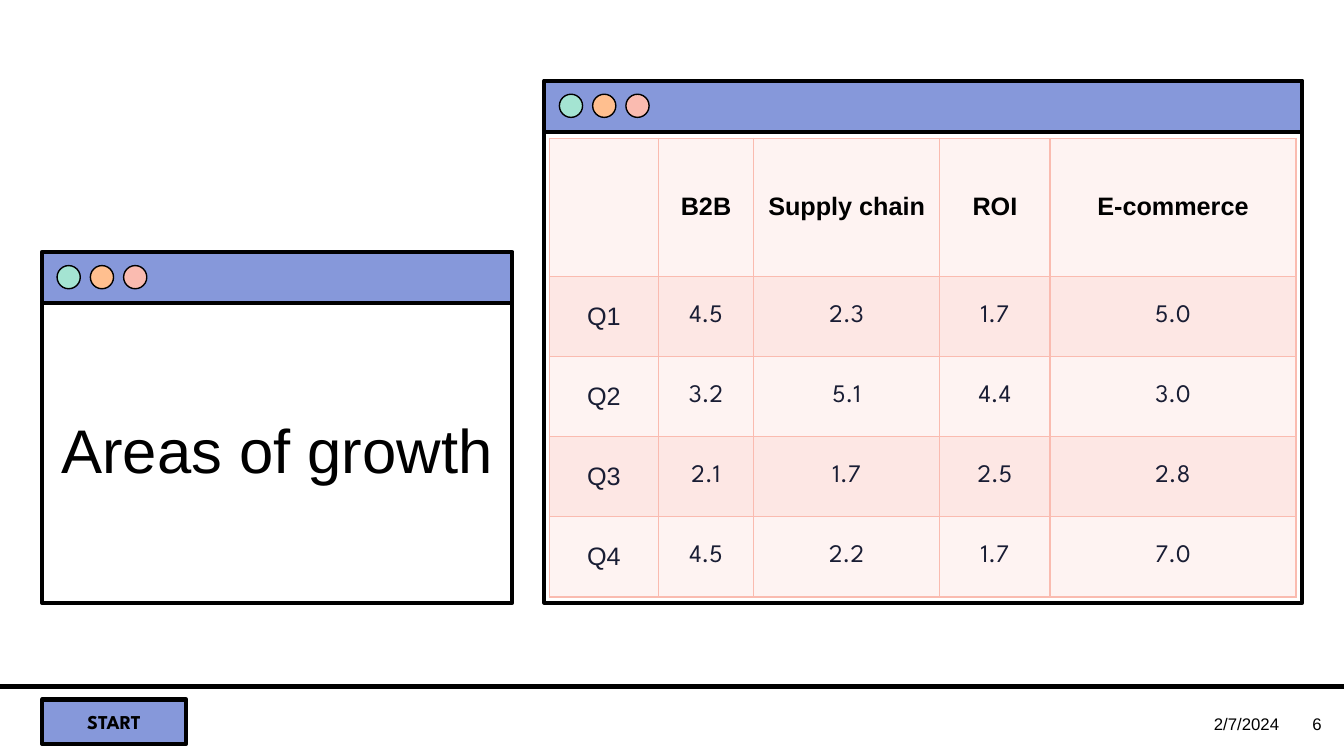
from lxml.etree import SubElement
from pptx import Presentation
from pptx.dml.color import RGBColor
from pptx.enum.shapes import MSO_CONNECTOR as LINE, MSO_SHAPE as SHAPE
from pptx.enum.text import MSO_ANCHOR as ANCHOR, PP_ALIGN as ALIGN
from pptx.oxml import parse_xml
from pptx.oxml.ns import nsdecls, qn
from pptx.util import Inches, Pt

COLORS = {
    "white": "FFFFFF", "black": "000000", "ink": "191D34",
    "bar": "8698DA", "mint": "A4E4D2", "orange": "FFBF8F", "pink": "FABBB0",
    "pale": "FEF3F2", "rose": "FDE7E4",
}
WIDTH, HEIGHT = Inches(13.33), Inches(7.5)
COLS, ROWS = 160, 90
BODY, NUMBERS = "Arial", "League Spartan"
BAR_H = 6.12
GROWTH = [
    ["", "B2B", "Supply chain", "ROI", "E-commerce"],
    ["Q1", "4.5", "2.3", "1.7", "5.0"],
    ["Q2", "3.2", "5.1", "4.4", "3.0"],
    ["Q3", "2.1", "1.7", "2.5", "2.8"],
    ["Q4", "4.5", "2.2", "1.7", "7.0"],
]
COL_WIDTHS = [13, 11.3, 22.2, 13.1, 29.3]
ROW_HEIGHTS = [16.44] + [9.55] * 4


def across(n):
    """Return the length of n grid columns."""
    return int(WIDTH * n / COLS)


def down(n):
    """Return the length of n grid rows."""
    return int(HEIGHT * n / ROWS)


def place(x, y, w, h):
    """Turn a grid box into slide lengths."""
    return across(x), down(y), across(w), down(h)


def color(name):
    """Look up a colour by name."""
    return RGBColor.from_string(COLORS[name])


def add_block(s, box, fill, line=3, kind=SHAPE.RECTANGLE):
    """Add a filled shape with a black outline, or none if line is 0."""
    sp = s.shapes.add_shape(kind, *place(*box))
    sp.shadow.inherit = False
    sp.fill.solid()
    sp.fill.fore_color.rgb = color(fill)
    if line:
        sp.line.color.rgb = color("black")
        sp.line.width = Pt(line)
    else:
        sp.line.fill.background()
    return sp


def write(tf, text, size, font=BODY, ink="black", bold=False, align=ALIGN.CENTER):
    """Put one styled paragraph into a text frame."""
    tf.word_wrap = True
    tf.vertical_anchor = ANCHOR.MIDDLE
    p = tf.paragraphs[0]
    p.text = text
    p.alignment = align
    p.font.size = Pt(size)
    p.font.name = font
    p.font.bold = bold
    p.font.color.rgb = color(ink)
    return p


def add_window(s, box):
    """Draw a window with a title bar and three buttons; return its inner box."""
    x, y, w, h = box
    inner = (x, y + BAR_H, w, h - BAR_H)
    add_block(s, inner, "white")
    add_block(s, (x, y, w, BAR_H), "bar")
    for i, name in enumerate(["mint", "orange", "pink"]):
        add_block(s, (x + 1.8 + i * 3.96, y + 1.62, 2.76, 2.76), name, 1, SHAPE.OVAL)
    return inner


def add_title(s, box, text):
    """Write the slide title in the middle of a box."""
    tf = s.shapes.add_textbox(*place(*box)).text_frame
    write(tf, text, 44).line_spacing = 0.9


def add_borders(cell):
    """Give a table cell thin pink borders on all sides."""
    tcPr = cell._tc.get_or_add_tcPr()
    for side in ("lnL", "lnR", "lnT", "lnB"):
        tcPr.append(parse_xml(
            f'<a:{side} {nsdecls("a")} w="12700"><a:solidFill>'
            f'<a:srgbClr val="{COLORS["pink"]}"/></a:solidFill></a:{side}>'))


def add_growth_table(s, box):
    """Fill a window's inner box with the quarterly table."""
    x, y = box[0] + 0.6, box[1] + 0.72
    size = sum(COL_WIDTHS), sum(ROW_HEIGHTS)
    table = s.shapes.add_table(len(GROWTH), len(COL_WIDTHS), *place(x, y, *size)).table
    for col, w in zip(table.columns, COL_WIDTHS):
        col.width = across(w)
    for i, (row, h) in enumerate(zip(table.rows, ROW_HEIGHTS)):
        row.height = down(h)
        for j, cell in enumerate(row.cells):
            add_borders(cell)
            cell.fill.solid()
            cell.fill.fore_color.rgb = color("rose" if i % 2 else "pale")
            cell.vertical_anchor = ANCHOR.MIDDLE
            write(cell.text_frame, GROWTH[i][j], 18, NUMBERS if i and j else BODY,
                  "ink" if i else "black", i == 0)


def add_footer(s, box):
    """Draw the task bar with its button, date and slide number."""
    x, y, w, h = box
    strip = add_block(s, box, "white", 0)
    tint = strip._element.spPr.find(qn("a:solidFill"))[0]
    SubElement(tint, qn("a:alpha"), val="50000")
    rule = s.shapes.add_connector(LINE.STRAIGHT, across(x), down(y), across(x + w), down(y))
    rule.line.color.rgb = color("black")
    rule.line.width = Pt(3)
    SubElement(rule._element.spPr, qn("a:effectLst"))
    button = add_block(s, (x + 5, y + 1.56, 17.16, 5.28), "bar")
    write(button.text_frame, "START", 14, NUMBERS, bold=True)
    for text, left, width, align in [("2/7/2024", 138.48, 15, ALIGN.RIGHT),
                                     ("6", 153.48, 6.6, ALIGN.CENTER)]:
        tf = s.shapes.add_textbox(*place(x + left, y, width, h)).text_frame
        tf.margin_top = Inches(0.1)
        write(tf, text, 12, align=align)


def main():
    """Build the slide and save it."""
    prs = Presentation()
    prs.slide_width, prs.slide_height = WIDTH, HEIGHT
    s = prs.slides.add_slide(prs.slide_layouts[6])
    add_title(s, add_window(s, (5, 30, 56, 41.76)), "Areas of growth")
    add_growth_table(s, add_window(s, (64.8, 9.6, 90.24, 62.16)))
    add_footer(s, (0, 81.72, COLS, 8.28))
    prs.save("out.pptx")


if __name__ == "__main__":
    main()
